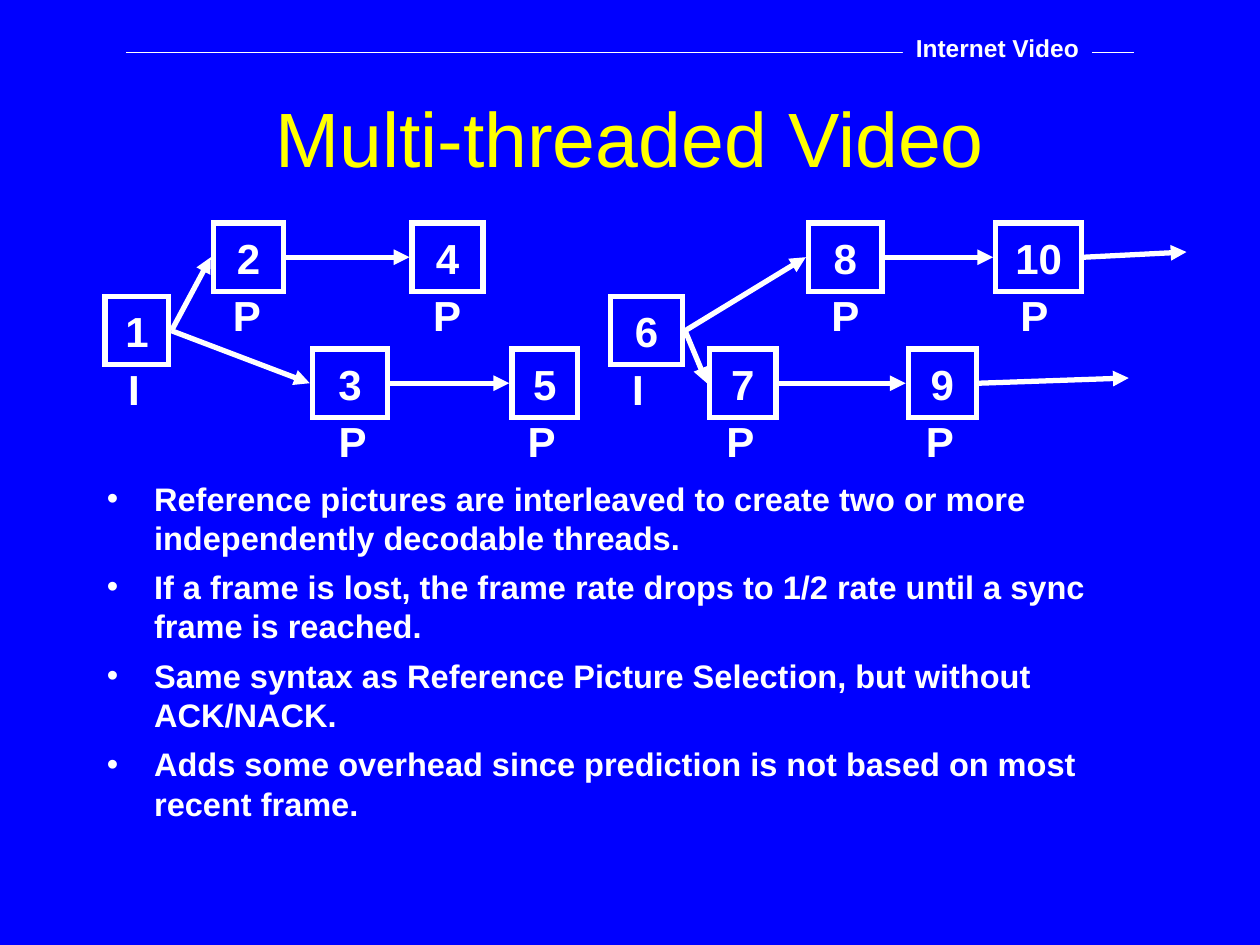
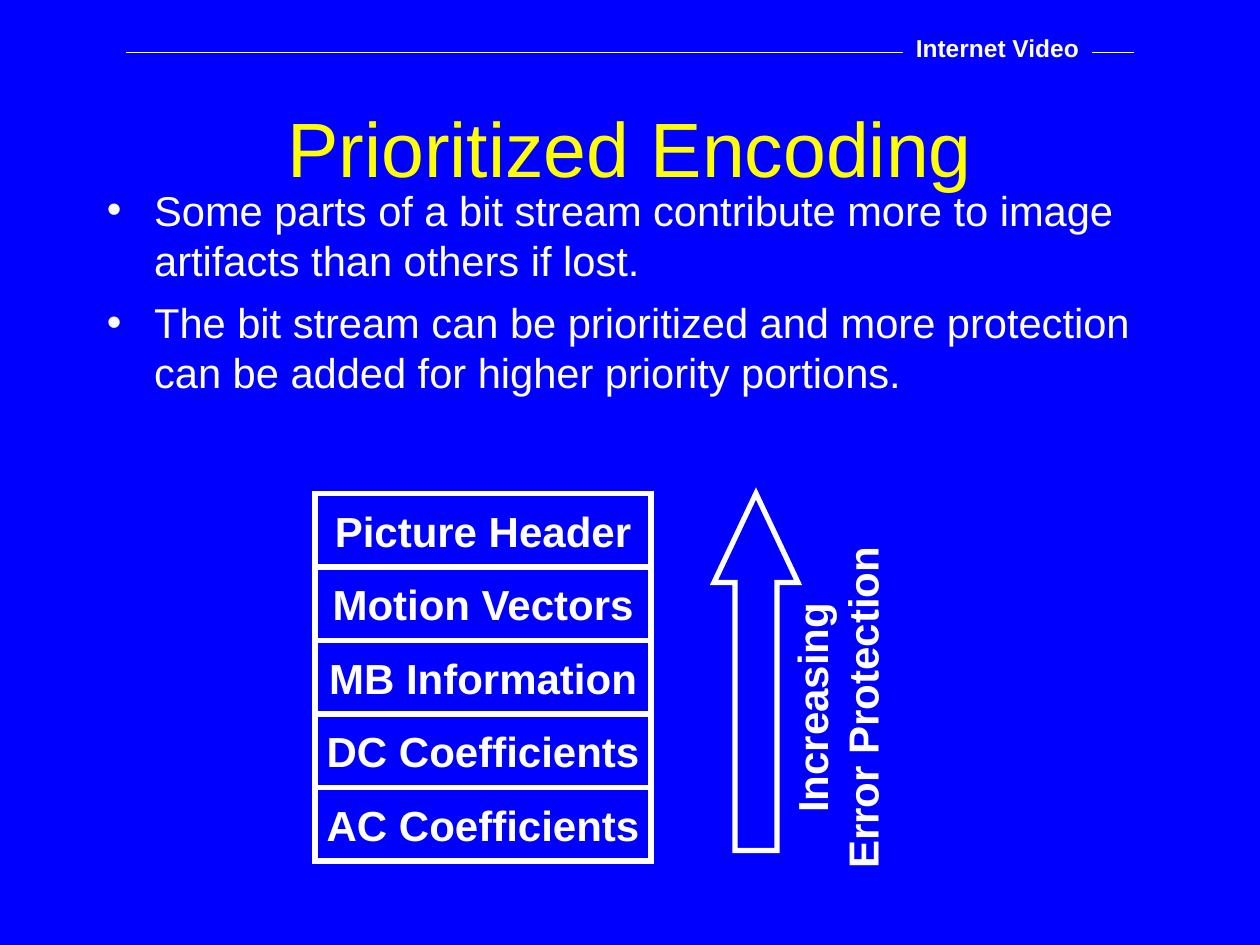
from lxml.etree import SubElement
from pptx import Presentation
from pptx.dml.color import RGBColor
from pptx.enum.shapes import MSO_CONNECTOR, MSO_SHAPE
from pptx.enum.text import MSO_ANCHOR, MSO_AUTO_SIZE, PP_ALIGN
from pptx.oxml.ns import qn
from pptx.util import Pt

BLUE = RGBColor(0x00, 0x00, 0xFF)
WHITE = RGBColor(0xFF, 0xFF, 0xFF)
YELLOW = RGBColor(0xFF, 0xFF, 0x00)
FONT = "Arial"
ARROW_GAP = 1.5

FRAME_HEIGHT = 39
TOP_ROW, SYNC_ROW, LOW_ROW = 127.5, 169.5, 199.5
# number: left, top, width, label, label left
FRAMES = {
    1: (60, SYNC_ROW, 36.5, "I", 66),
    2: (122, TOP_ROW, 40, "P", 126),
    3: (178.5, LOW_ROW, 43, "P", 186.5),
    4: (235.5, TOP_ROW, 40.5, "P", 240.5),
    5: (292.5, LOW_ROW, 37.5, "P", 294.5),
    6: (349, SYNC_ROW, 41, "I", 354),
    7: (405.5, LOW_ROW, 38, "P", 408),
    8: (462, TOP_ROW, 42, "P", 468),
    9: (519, LOW_ROW, 39, "P", 522),
    10: (569, TOP_ROW, 49, "P", 576),
}
REFERENCES = [(1, 2), (1, 3), (2, 4), (3, 5), (6, 7), (6, 8), (7, 9), (8, 10)]
EXITS = {9: (645, 216), 10: (678, 144)}

THREAD_POINTS = [
    "Reference pictures are interleaved to create two or more independently decodable threads.",
    "If a frame is lost, the frame rate drops to 1/2 rate until a sync frame is reached.",
    "Same syntax as Reference Picture Selection, but without ACK/NACK.",
    "Adds some overhead since prediction is not based on most recent frame.",
]
PRIORITY_POINTS = [
    "Some parts of a bit stream contribute more to image artifacts than others if lost.",
    "The bit stream can be prioritized and more protection can be added for higher priority portions.",
]
LAYERS = ["Picture Header", "Motion Vectors", "MB Information",
          "DC Coefficients", "AC Coefficients"]


def style_text(frame, size, bold=True, color=WHITE, align=PP_ALIGN.CENTER,
               anchor=MSO_ANCHOR.MIDDLE):
    """Format all the text of a frame."""
    frame.vertical_anchor = anchor
    for para in frame.paragraphs:
        para.alignment = align
        for span in para.runs:
            span.font.name = FONT
            span.font.size = Pt(size)
            span.font.bold = bold
            span.font.color.rgb = color


def add_page(deck, title, top, height):
    """Add a slide with its title and running header."""
    page = deck.slides.add_slide(deck.slide_layouts[5])
    box = page.shapes.title
    box.left, box.top, box.width, box.height = Pt(54), Pt(top), Pt(612), Pt(height)
    box.text_frame.text = title
    box.text_frame.auto_size = MSO_AUTO_SIZE.NONE
    style_text(box.text_frame, 44, bold=False, color=YELLOW)
    add_line(page, (72, 30), (648, 30), 0.75)
    header = add_shape(page, 516, 15, 108, 24.5, "Internet Video", size=14)
    header.fill.solid()
    header.fill.fore_color.rgb = BLUE
    header.line.fill.background()
    return page


def add_line(page, start, end, width=3, arrow=False):
    """Draw a straight white line, with an arrowhead on request."""
    line = page.shapes.add_connector(
        MSO_CONNECTOR.STRAIGHT, *(Pt(value) for value in (*start, *end)))
    line.line.color.rgb = WHITE
    line.line.width = Pt(width)
    properties = line.element.spPr
    SubElement(properties, qn("a:effectLst"))
    if arrow:
        SubElement(properties.find(qn("a:ln")), qn("a:tailEnd"), type="triangle")


def add_shape(page, left, top, width, height, text="", kind=MSO_SHAPE.RECTANGLE,
              size=24, wrap=True):
    """Add a sharp-cornered outlined shape with centred bold text."""
    shape = page.shapes.add_shape(kind, Pt(left), Pt(top), Pt(width), Pt(height))
    shape.shadow.inherit = False
    shape.fill.background()
    shape.line.color.rgb = WHITE
    shape.line.width = Pt(3)
    SubElement(shape.element.spPr.find(qn("a:ln")), qn("a:miter"), lim="800000")
    if text:
        shape.text_frame.text = text
        shape.text_frame.word_wrap = wrap
        style_text(shape.text_frame, size)
    return shape


def add_label(page, left, top, width, height, text):
    """Add a bold text label without wrapping."""
    label = page.shapes.add_textbox(Pt(left), Pt(top), Pt(width), Pt(height))
    label.text_frame.text = text
    label.text_frame.word_wrap = False
    style_text(label.text_frame, 24)
    return label


def add_bullets(page, points, top, height, size, gap, bold):
    """Add a bulleted list with hanging indents."""
    box = page.shapes.add_textbox(Pt(54), Pt(top), Pt(612), Pt(height))
    frame = box.text_frame
    frame.word_wrap = True
    frame.text = "\n".join(points)
    style_text(frame, size, bold, align=PP_ALIGN.LEFT, anchor=MSO_ANCHOR.TOP)
    for index, para in enumerate(frame.paragraphs):
        para.space_before = Pt(gap if index else 0)
        properties = para._p.get_or_add_pPr()
        properties.set("marL", str(Pt(27)))
        properties.set("indent", str(-Pt(27)))
        color = SubElement(properties, qn("a:buClr"))
        SubElement(color, qn("a:srgbClr"), val=str(WHITE))
        SubElement(properties, qn("a:buFont"), typeface=FONT)
        SubElement(properties, qn("a:buChar"), char="•")


def frame_entry(number):
    """Return the point where an arrow reaches a frame."""
    left, top = FRAMES[number][:2]
    return left - ARROW_GAP, top + FRAME_HEIGHT / 2


def frame_exit(number):
    """Return the point where an arrow leaves a frame."""
    left, top, width = FRAMES[number][:3]
    return left + width + ARROW_GAP, top + FRAME_HEIGHT / 2


def build_threads(deck):
    """Build the slide on interleaved prediction threads."""
    page = add_page(deck, "Multi-threaded Video", 42, 72)
    for number, (left, top, width, letter, label_left) in FRAMES.items():
        add_shape(page, left, top, width, FRAME_HEIGHT, str(number))
        label_width = 21 if letter == "I" else 30
        add_label(page, label_left, top + 34.5, label_width, 36, letter)
    for source, target in REFERENCES:
        add_line(page, frame_exit(source), frame_entry(target), arrow=True)
    for source, end in EXITS.items():
        add_line(page, frame_exit(source), end, arrow=True)
    add_bullets(page, THREAD_POINTS, 270, 210, 18.6, 6, bold=True)


def build_priorities(deck):
    """Build the slide on layers and their protection."""
    page = add_page(deck, "Prioritized Encoding", 54, 60)
    for index, layer in enumerate(LAYERS):
        add_shape(page, 180, 282 + 42 * index, 192, 42, layer, wrap=False)
    arrow = add_shape(page, 408, 282, 48, 204, kind=MSO_SHAPE.UP_ARROW)
    arrow.adjustments[0] = 0.5
    arrow.adjustments[1] = 1.06
    label = add_label(page, 358, 372, 240, 65, "Increasing\nError Protection")
    label.rotation = 270
    add_bullets(page, PRIORITY_POINTS, 102, 150, 23.8, 7, bold=False)


def main():
    """Build and save the deck."""
    deck = Presentation()
    deck.slide_width, deck.slide_height = Pt(720), Pt(540)
    background = deck.slide_master.background.fill
    background.solid()
    background.fore_color.rgb = BLUE
    build_threads(deck)
    build_priorities(deck)
    deck.save("out.pptx")


if __name__ == "__main__":
    main()
